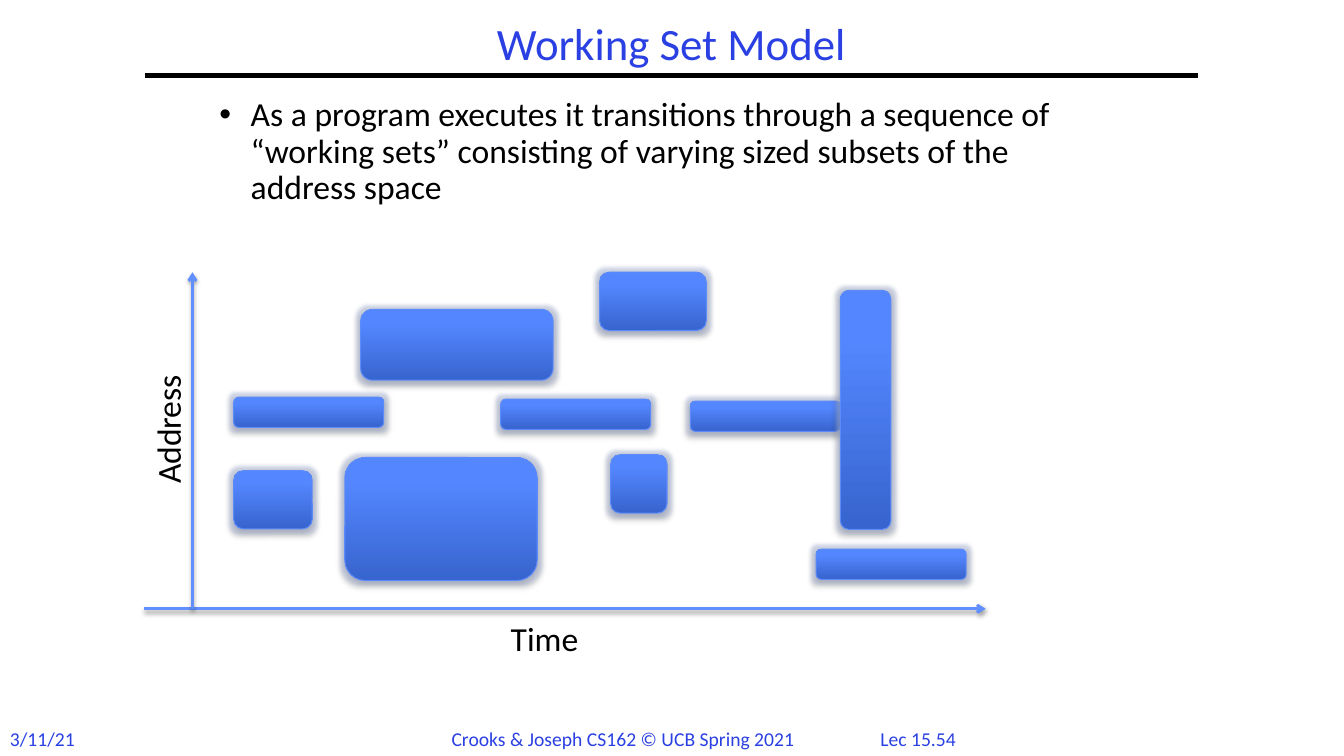
from dataclasses import dataclass

from lxml import etree
from pptx import Presentation
from pptx.dml.color import RGBColor
from pptx.enum.shapes import MSO_CONNECTOR, MSO_SHAPE
from pptx.enum.text import MSO_ANCHOR, PP_ALIGN
from pptx.oxml.ns import qn
from pptx.util import Cm, Pt

STRAIGHT = MSO_CONNECTOR.STRAIGHT
ROUNDED = MSO_SHAPE.ROUNDED_RECTANGLE
LEFT, CENTER = PP_ALIGN.LEFT, PP_ALIGN.CENTER
TOP, MIDDLE = MSO_ANCHOR.TOP, MSO_ANCHOR.MIDDLE

FONT = "Calibri"
COLORS = {
    "heading": "2A40E2",
    "text": "000000",
    "axis": "618FFD",
    "block_edge": "5B8AFB",
    "block_glow": "B0BCDC",
    "block_bottom": "3764CE",
    "block_upper": "5487FF",
    "block_top": "5688FF",
}
BLOCK_STOPS = ((0, "block_bottom"), (80, "block_upper"), (100, "block_top"))


@dataclass(frozen=True)
class Label:
    text: str
    left: float
    top: float
    width: float
    height: float
    size: int
    color: str = "text"
    align: PP_ALIGN = LEFT
    anchor: MSO_ANCHOR = TOP
    wrap: bool = True
    rotation: int = 0
    spacing: float = 1.0
    bullet: bool = False


@dataclass(frozen=True)
class Rule:
    x1: float
    y1: float
    x2: float
    y2: float
    color: str
    weight: float
    is_axis: bool = False


@dataclass(frozen=True)
class Block:
    """A region of addresses in use over a span of time."""
    left: float
    top: float
    width: float
    height: float


LABELS = (
    Label("Lec 15.54", 21.59, 18.19, 3.1, 0.84, 14, "heading", CENTER),
    Label("3/11/21", 0, 18.19, 3, 0.86, 14, "heading"),
    Label("Crooks & Joseph CS162 © UCB Spring 2021",
          11.13, 18.19, 9.55, 0.86, 14, "heading"),
    Label("Working Set Model", 3.66, 0.43, 26.52, 1.47, 32, "heading",
          CENTER, MIDDLE, spacing=0.9),
    Label("As a program executes it transitions through a sequence of "
          "“working sets” consisting of varying sized subsets of the "
          "address space",
          5.28, 2.34, 22.86, 4.55, 24, spacing=0.9, bullet=True),
    Label("Time", 12.62, 15.44, 2.39, 1.27, 24, wrap=False),
    Label("Address", 2.39, 9.98, 3.66, 1.27, 24, wrap=False, rotation=270),
)

RULES = (
    Rule(3.66, 1.9, 30.2, 1.9, "text", 3),
    Rule(3.63, 15.34, 24.84, 15.34, "axis", 2, is_axis=True),
    Rule(4.85, 15.34, 4.85, 6.86, "axis", 2, is_axis=True),
)

STRIP = (3.78, 0.76)
BLOCKS = (
    Block(5.89, 11.86, 1.98, 1.47),
    Block(5.89, 10.01, *STRIP),
    Block(8.69, 11.53, 4.85, 3.1),
    Block(9.09, 7.8, 4.85, 1.78),
    Block(12.62, 10.06, *STRIP),
    Block(15.39, 11.46, 1.42, 1.47),
    Block(15.11, 6.86, 2.69, 1.47),
    Block(17.4, 10.11, *STRIP),
    Block(21.18, 7.32, 1.27, 6.02),
    Block(20.57, 13.84, *STRIP),
)


def add_child(parent: etree._Element, tag: str, **attributes: object) -> etree._Element:
    return etree.SubElement(
        parent, qn(tag), {name: str(value) for name, value in attributes.items()})


def add_color(parent: etree._Element, color: str, opacity: int = 100) -> None:
    value = add_child(parent, "a:srgbClr", val=COLORS[color])
    if opacity < 100:
        add_child(value, "a:alpha", val=opacity * 1000)


def add_shadow(effects: etree._Element, distance: float, opacity: int) -> None:
    shadow = add_child(effects, "a:outerShdw", blurRad=Pt(3.1), dist=Pt(distance),
                       dir=90 * 60000, rotWithShape=0)
    add_color(shadow, "text", opacity)


def draw_label(slide, label: Label) -> None:
    box = slide.shapes.add_textbox(
        Cm(label.left), Cm(label.top), Cm(label.width), Cm(label.height))
    box.rotation = label.rotation
    frame = box.text_frame
    frame.word_wrap = label.wrap
    frame.vertical_anchor = label.anchor
    paragraph = frame.paragraphs[0]
    paragraph.text = label.text
    if label.bullet:
        properties = paragraph._p.get_or_add_pPr()
        properties.set("marL", str(Cm(0.79)))
        properties.set("indent", str(Cm(-0.79)))
        add_child(properties, "a:buFont", typeface="Arial")
        add_child(properties, "a:buChar", char="•")
    paragraph.alignment = label.align
    paragraph.line_spacing = label.spacing
    paragraph.font.name = FONT
    paragraph.font.size = Pt(label.size)
    paragraph.font.color.rgb = RGBColor.from_string(COLORS[label.color])


def draw_rule(slide, rule: Rule) -> None:
    connector = slide.shapes.add_connector(
        STRAIGHT, Cm(rule.x1), Cm(rule.y1), Cm(rule.x2), Cm(rule.y2))
    connector.line.color.rgb = RGBColor.from_string(COLORS[rule.color])
    connector.line.width = Pt(rule.weight)
    properties = connector._element.spPr
    effects = add_child(properties, "a:effectLst")
    if rule.is_axis:
        add_child(properties.find(qn("a:ln")), "a:tailEnd", type="arrow")
        add_shadow(effects, 1.6, 38)


def draw_block(slide, block: Block) -> None:
    shape = slide.shapes.add_shape(
        ROUNDED, Cm(block.left), Cm(block.top), Cm(block.width), Cm(block.height))
    properties = shape._element.spPr
    gradient = add_child(properties, "a:gradFill", rotWithShape=1)
    stops = add_child(gradient, "a:gsLst")
    for position, color in BLOCK_STOPS:
        add_color(add_child(stops, "a:gs", pos=position * 1000), color)
    add_child(gradient, "a:lin", ang=270 * 60000, scaled=0)
    shape.line.color.rgb = RGBColor.from_string(COLORS["block_edge"])
    shape.line.width = Pt(0.75)
    shape.shadow.inherit = False
    effects = properties.find(qn("a:effectLst"))
    add_color(add_child(effects, "a:glow", rad=Pt(5.5)), "block_glow", 50)
    add_shadow(effects, 1.8, 35)


def main() -> None:
    presentation = Presentation()
    presentation.slide_width, presentation.slide_height = Cm(33.87), Cm(19.05)
    slide = presentation.slides.add_slide(presentation.slide_layouts[6])
    for rule in RULES:
        draw_rule(slide, rule)
    for label in LABELS:
        draw_label(slide, label)
    for block in BLOCKS:
        draw_block(slide, block)
    presentation.save("out.pptx")


if __name__ == "__main__":
    main()
